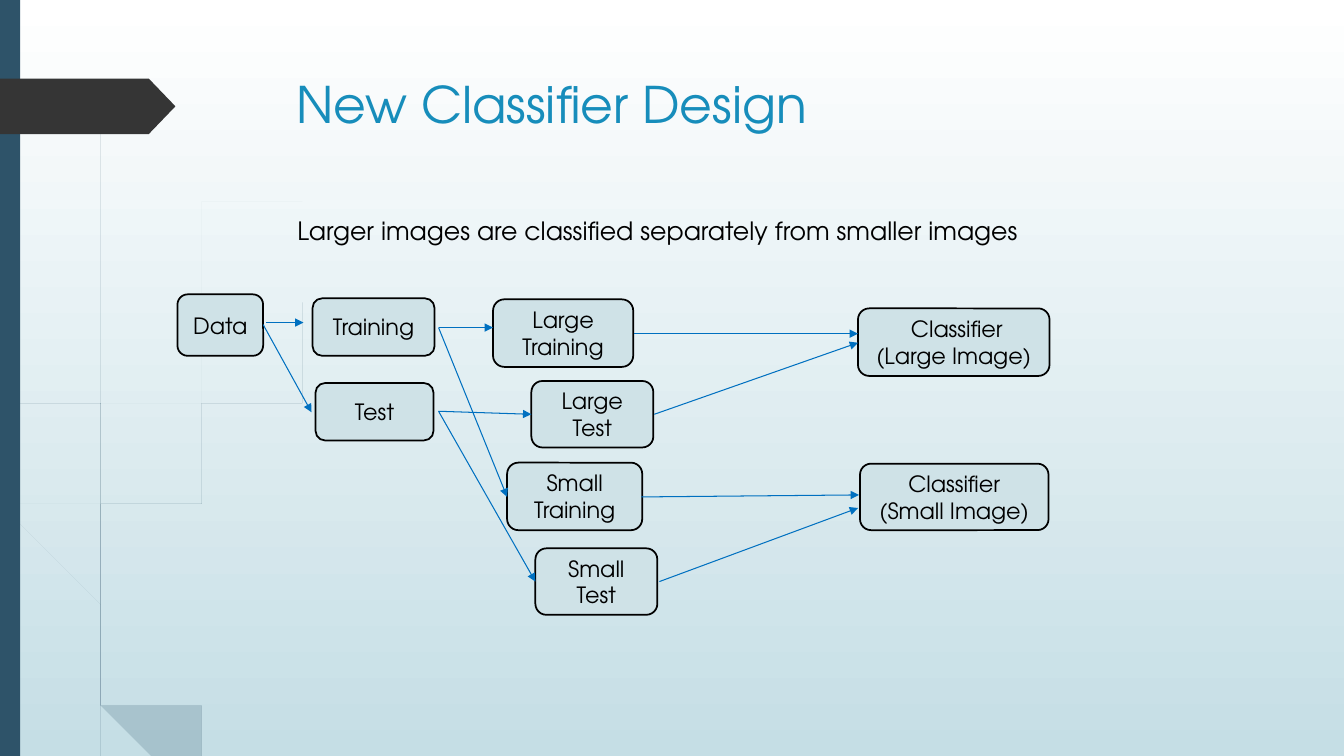
from lxml.etree import SubElement
from pptx import Presentation
from pptx.dml.color import RGBColor
from pptx.enum.shapes import MSO_CONNECTOR, MSO_SHAPE
from pptx.enum.text import MSO_ANCHOR, PP_ALIGN
from pptx.oxml.ns import qn
from pptx.util import Inches, Pt

FONT = "TeX Gyre Adventor"
WHITE = RGBColor(0xFF, 0xFF, 0xFF)
BLACK = RGBColor(0x00, 0x00, 0x00)
PALE_TEAL = RGBColor(0xC5, 0xDE, 0xE5)
BOX_FILL = RGBColor(0xCF, 0xE2, 0xE7)
NAVY = RGBColor(0x2E, 0x53, 0x69)
CHARCOAL = RGBColor(0x35, 0x35, 0x35)
TITLE_BLUE = RGBColor(0x17, 0x8D, 0xBB)
ARROW_BLUE = RGBColor(0x00, 0x70, 0xC0)

# Each wisp: points down its right edge, then points back up its left edge
PALE_WISPS = [
    ([(0, 2.82), (0.14, 3.45), (0.62, 5.2), (0.88, 5.96), (1.27, 6.92), (1.55, 7.5)],
     [(1.5, 7.5), (1.23, 6.94), (0.84, 5.99), (0.58, 5.22), (0.17, 3.76), (0, 2.99)]),
    ([(0.11, 3.5), (0.17, 3.76), (0.31, 4.69), (0.7, 6.19), (0.96, 6.92), (1.24, 7.5)],
     [(1.14, 7.5), (0.92, 6.93), (0.65, 6.21), (0.28, 4.7), (0.11, 3.5)]),
    ([(3.12, 1.54), (2.68, 1.98), (2.29, 2.45), (1.6, 3.49), (1.1, 4.62), (0.88, 5.84),
      (0.91, 6.46), (1.05, 7.11)],
     [(0.93, 6.83), (0.87, 6.46), (0.85, 5.84), (1.07, 4.61), (1.58, 3.48), (2.28, 2.44),
      (2.68, 1.97), (3.12, 1.53)]),
]
DARK_WISPS = [
    ([(0.04, 0), (0.08, 1.09), (0.19, 2.32), (0.36, 3.55), (0.6, 4.72), (0.93, 5.9),
      (1.1, 6.41), (1.36, 7.06), (1.57, 7.5)],
     [(1.52, 7.5), (1.32, 7.08), (1.06, 6.45), (0.88, 5.92), (0.57, 4.77), (0.33, 3.55),
      (0.17, 2.33), (0.07, 1.1), (0.03, 0)]),
    ([(0.7, 1.41), (0.63, 1.93), (0.58, 2.45), (0.54, 3.49), (0.58, 4.53), (0.72, 5.56),
      (0.98, 6.57), (1.22, 7.19), (1.36, 7.5)],
     [(1.27, 7.5), (1.11, 7.08), (0.93, 6.59), (0.68, 5.57), (0.55, 4.49), (0.52, 3.49),
      (0.56, 2.45), (0.62, 1.93), (0.7, 1.41)]),
    ([(2.6, 3.44), (2.31, 3.74), (2.05, 4.06), (1.58, 4.76), (1.25, 5.52), (1.11, 6.33),
      (1.21, 7.16)],
     [(1.1, 6.91), (1.06, 6.31), (1.22, 5.51), (1.56, 4.74), (2.04, 4.05), (2.31, 3.73),
      (2.6, 3.44)]),
]

# Label lines, left, top, width, height
BOXES = [
    (["Data"], 1.76, 2.92, 0.85, 0.61),
    (["Training"], 3.1, 2.96, 1.21, 0.57),
    (["Test"], 3.13, 3.8, 1.17, 0.57),
    (["Large Training"], 4.89, 2.97, 1.39, 0.67),
    (["Large Test"], 5.27, 3.78, 1.21, 0.66),
    (["Small Training"], 5.03, 4.59, 1.34, 0.67),
    (["Small Test"], 5.31, 5.44, 1.21, 0.66),
    ([" Classifier", "(Large Image)"], 8.51, 3.06, 1.9, 0.67),
    (["Classifier", "(Small Image)"], 8.53, 4.6, 1.87, 0.66),
]

# Start and end of each arrow
TRAINING_EXIT = (4.35, 3.25)
TEST_EXIT = (4.35, 4.08)
ARROWS = [
    ((2.64, 3.2), (3.01, 3.2)),
    ((2.61, 3.22), (3.09, 4.09)),
    (TRAINING_EXIT, (4.89, 3.25)),
    (TRAINING_EXIT, (5.03, 4.93)),
    (TEST_EXIT, (5.31, 5.77)),
    (TEST_EXIT, (5.27, 4.11)),
    ((6.29, 3.31), (8.51, 3.31)),
    ((6.49, 4.11), (8.51, 3.4)),
    ((6.36, 4.93), (8.52, 4.91)),
    ((6.54, 5.77), (8.51, 5.04)),
]


def write_text(text_frame, lines, size, color=BLACK, align=PP_ALIGN.LEFT,
               anchor=MSO_ANCHOR.TOP, wrap=True):
    text_frame.word_wrap = wrap
    text_frame.vertical_anchor = anchor
    for index, line in enumerate(lines):
        paragraph = text_frame.add_paragraph() if index else text_frame.paragraphs[0]
        paragraph.alignment = align
        run = paragraph.add_run()
        run.text = line
        run.font.name = FONT
        run.font.size = Pt(size)
        run.font.color.rgb = color


def paint(shape, fill, line=None):
    shape.shadow.inherit = False
    shape.fill.solid()
    shape.fill.fore_color.rgb = fill
    if line is None:
        shape.line.fill.background()
    else:
        shape.line.color.rgb = line
        shape.line.width = Pt(1.25)


def add_block(slide, preset, left, top, width, height, fill, line=None):
    shape = slide.shapes.add_shape(preset, Inches(left), Inches(top),
                                   Inches(width), Inches(height))
    paint(shape, fill, line)
    return shape


def smooth_curve(points, steps=8):
    """Return points on a Catmull-Rom curve through the given points."""
    padded = [points[0], *points, points[-1]]
    curve = []
    for a, b, c, d in zip(padded, padded[1:], padded[2:], padded[3:]):
        for step in range(steps):
            t = step / steps
            curve.append(tuple(
                q + 0.5 * t * (r - p + t * (2 * p - 5 * q + 4 * r - s
                                            + t * (3 * (q - r) + s - p)))
                for p, q, r, s in zip(a, b, c, d)))
    return curve + [points[-1]]


def add_wisp(slide, right_edge, left_edge, opacity):
    outline = smooth_curve(right_edge) + smooth_curve(left_edge)
    builder = slide.shapes.build_freeform(*outline[0], scale=Inches(1))
    builder.add_line_segments(outline[1:], close=True)
    wisp = builder.convert_to_shape()
    paint(wisp, NAVY)
    color = wisp._element.spPr.find(qn("a:solidFill"))[0]
    SubElement(color, qn("a:alpha"), val=str(opacity * 1000))


def add_arrow(slide, start, end):
    arrow = slide.shapes.add_connector(MSO_CONNECTOR.STRAIGHT,
                                       *map(Inches, (*start, *end)))
    arrow.line.color.rgb = ARROW_BLUE
    arrow.line.width = Pt(0.75)
    properties = arrow._element.spPr
    SubElement(properties.find(qn("a:ln")), qn("a:tailEnd"), type="triangle")
    SubElement(properties, qn("a:effectLst"))


def set_background(slide):
    fill = slide.background.fill
    fill.gradient()
    fill.gradient_angle = 270
    for stop, position, color in zip(fill.gradient_stops, (0, 1), (WHITE, PALE_TEAL)):
        stop.position = position
        stop.color.rgb = color


def add_decoration(slide):
    for wisps, opacity in ((PALE_WISPS, 20), (DARK_WISPS, 100)):
        for right_edge, left_edge in wisps:
            add_wisp(slide, right_edge, left_edge, opacity)
    add_block(slide, MSO_SHAPE.RECTANGLE, 0, 0, 0.2, 7.5, NAVY)
    tag = add_block(slide, MSO_SHAPE.PENTAGON, 0, 0.78, 1.74, 0.55, CHARCOAL)
    tag.adjustments[0] = 0.48


def place_title(slide, text):
    title = slide.shapes.title
    title.left, title.top = Inches(2.84), Inches(0.68)
    title.width, title.height = Inches(9.75), Inches(1.4)
    write_text(title.text_frame, [text], size=36, color=TITLE_BLUE)


def main():
    presentation = Presentation()
    presentation.slide_width = Inches(13.33)
    presentation.slide_height = Inches(7.5)
    slide = presentation.slides.add_slide(presentation.slide_layouts[5])

    # Backdrop and heading
    set_background(slide)
    add_decoration(slide)
    place_title(slide, "New Classifier Design")
    caption = slide.shapes.add_textbox(Inches(2.85), Inches(2.09), Inches(7.68), Inches(0.4))
    write_text(caption.text_frame,
               ["Larger images are classified separately from smaller images"],
               size=18, wrap=False)

    # Flow diagram
    for lines, left, top, width, height in BOXES:
        box = add_block(slide, MSO_SHAPE.ROUNDED_RECTANGLE, left, top, width, height,
                        BOX_FILL, BLACK)
        write_text(box.text_frame, lines, size=16, align=PP_ALIGN.CENTER,
                   anchor=MSO_ANCHOR.MIDDLE)
    for start, end in ARROWS:
        add_arrow(slide, start, end)

    presentation.save("out.pptx")


if __name__ == "__main__":
    main()
